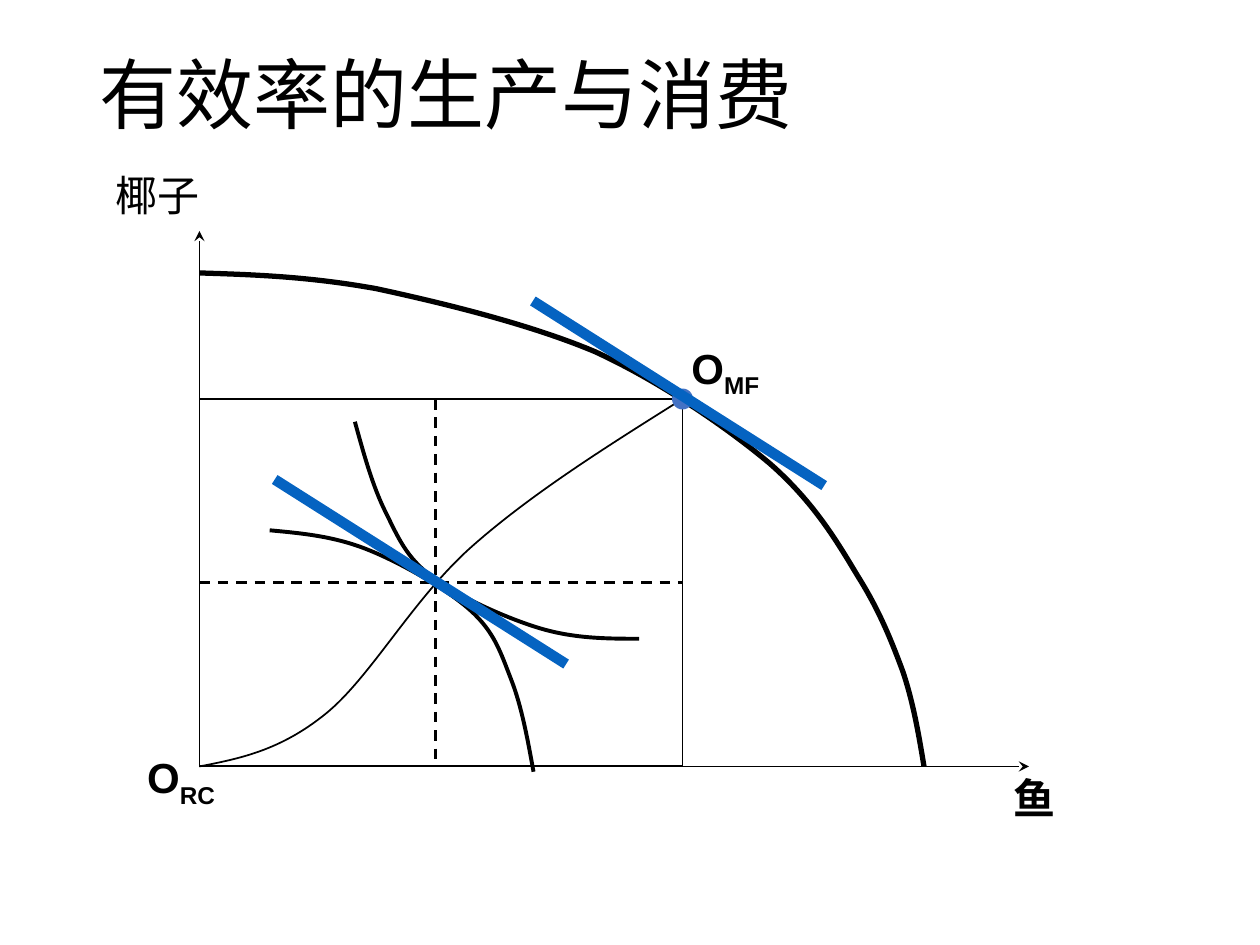
from dataclasses import dataclass

from lxml.etree import SubElement
from pptx import Presentation
from pptx.dml.color import RGBColor
from pptx.enum.dml import MSO_LINE
from pptx.enum.shapes import MSO_CONNECTOR, MSO_SHAPE
from pptx.enum.text import MSO_ANCHOR, MSO_AUTO_SIZE, PP_ALIGN
from pptx.oxml.ns import qn
from pptx.util import Pt


@dataclass(frozen=True)
class Theme:
    ink: RGBColor = RGBColor(0x00, 0x00, 0x00)
    price: RGBColor = RGBColor(0x05, 0x63, 0xC1)
    dot: RGBColor = RGBColor(0x44, 0x72, 0xC4)
    title_size: int = 44
    label_size: int = 24
    title_font: str = "Calibri"
    good_font: str = "Times New Roman"
    origin_font: str = "Arial"
    thin: float = 1
    dashed: float = 1.5
    utility: float = 2.25
    frontier: float = 3
    thick: float = 6


THEME = Theme()

FRONTIER = [
    (0, 24), (31, 25), (62, 26), (101, 33), (138, 41), (188, 53), (226, 69),
    (263, 86), (301, 112), (326, 133), (351, 155), (364, 177), (376, 197),
    (388, 216), (395, 233), (402, 252), (408, 270), (411, 288), (414, 306),
]
CONTRACT = [
    (276, 96), (233, 123), (190, 150), (156, 180), (122, 210), (98, 255),
    (72, 276), (46, 297), (23, 301.5), (0, 306),
]
INDIFFERENCE = [
    (0, 0), (1, 19), (2, 38), (6, 54), (10, 70), (12, 82), (24, 96),
    (36, 110), (60, 128), (78, 138), (96, 148), (114, 152), (132, 156),
]


def style_font(font, name, size, bold=False):
    font.name = name
    font.size = Pt(size)
    font.bold = bold
    font.color.rgb = THEME.ink


def draw_line(slide, start, end, width, color=THEME.ink, dash=None, arrow=False):
    line = slide.shapes.add_connector(
        MSO_CONNECTOR.STRAIGHT, *(Pt(v) for v in (*start, *end)))
    line.line.color.rgb = color
    line.line.width = Pt(width)
    if dash:
        line.line.dash_style = dash
    if arrow:
        SubElement(line.get_or_add_ln(), qn("a:tailEnd"), type="stealth")
    SubElement(line.element.spPr, qn("a:effectLst"))


def draw_curve(slide, left, top, points, width, rotation=0):
    start, *rest = [(Pt(left + x), Pt(top + y)) for x, y in points]
    builder = slide.shapes.build_freeform(*start, scale=1.0)
    builder.add_line_segments(rest, close=False)
    curve = builder.convert_to_shape()
    outline = next(curve.element.iter(qn("a:path")))
    segments = outline.findall(qn("a:lnTo"))
    for i in range(0, len(segments), 3):
        bezier = SubElement(outline, qn("a:cubicBezTo"))
        for segment in segments[i:i + 3]:
            bezier.append(segment[0])
            outline.remove(segment)
    curve.fill.background()
    curve.line.color.rgb = THEME.ink
    curve.line.width = Pt(width)
    curve.shadow.inherit = False
    curve.rotation = rotation


def add_label(slide, left, top, width, text, font, bold=False, subscript=""):
    label = slide.shapes.add_textbox(Pt(left), Pt(top), Pt(width), Pt(36.5))
    frame = label.text_frame
    frame.word_wrap = False
    frame.auto_size = MSO_AUTO_SIZE.SHAPE_TO_FIT_TEXT
    paragraph = frame.paragraphs[0]
    paragraph.add_run().text = text
    if subscript:
        sub = paragraph.add_run()
        sub.text = subscript
        sub.font._element.set("baseline", "-25000")
    style_font(paragraph.font, font, THEME.label_size, bold)


def add_title(slide, left, top, width, height):
    title = slide.shapes.title
    title.left, title.top, title.width, title.height = map(Pt, (left, top, width, height))
    frame = title.text_frame
    frame.text = "有效率的生产与消费"
    frame.vertical_anchor = MSO_ANCHOR.TOP
    paragraph = frame.paragraphs[0]
    paragraph.alignment = PP_ALIGN.LEFT
    paragraph.line_spacing = 0.9
    style_font(paragraph.font, THEME.title_font, THEME.title_size)


def add_edgeworth_box(slide, left, top, width, height):
    box = slide.shapes.add_shape(MSO_SHAPE.RECTANGLE, *map(Pt, (left, top, width, height)))
    box.fill.background()
    box.line.color.rgb = THEME.ink
    box.line.width = Pt(THEME.thin)
    box.shadow.inherit = False


def add_optimum(slide, x, y, diameter=12):
    dot = slide.shapes.add_shape(
        MSO_SHAPE.OVAL, Pt(x - diameter / 2), Pt(y - diameter / 2), Pt(diameter), Pt(diameter))
    dot.fill.solid()
    dot.fill.fore_color.rgb = THEME.dot
    dot.line.fill.background()
    dot.shadow.inherit = False


def add_price_line(slide, left, top):
    draw_line(slide, (left, top), (left + 166.5, top + 105.5), THEME.thick, THEME.price)


def add_diagram(slide, left, top, width, height):
    base = top + height
    optimum_x, optimum_y = left + 276, top + 96
    share_x, share_y = left + 135, (optimum_y + base) / 2

    add_label(slide, left + 458, base, 45, "鱼", THEME.good_font, bold=True)
    add_label(slide, left - 55, top - 38.5, 63.5, "椰子", THEME.good_font)
    draw_curve(slide, left, top, FRONTIER, THEME.frontier)
    for axis_end in ((left, top), (left + width, base)):
        draw_line(slide, (left, base), axis_end, THEME.thin, arrow=True)
    add_edgeworth_box(slide, left, optimum_y, optimum_x - left, base - optimum_y)
    draw_curve(slide, left, top, CONTRACT, THEME.thin)
    add_optimum(slide, optimum_x, optimum_y)
    add_price_line(slide, left + 190.5, top + 40)
    for dx, dy, rotation in ((104, 93, 347.6), (49.5, 162, 172.7)):
        draw_curve(slide, left + dx, top + dy, INDIFFERENCE, THEME.utility, rotation)
    for x, y, owner in ((left - 37, base - 12, "RC"), (optimum_x - 2, optimum_y - 36, "MF")):
        add_label(slide, x, y, 56, "O", THEME.origin_font, bold=True, subscript=owner)
    for start, end in (((share_x, optimum_y), (share_x, base)),
                       ((left, share_y), (optimum_x, share_y))):
        draw_line(slide, start, end, THEME.dashed, dash=MSO_LINE.DASH)
    add_price_line(slide, left + 43, top + 142)


def main():
    deck = Presentation()
    deck.slide_width, deck.slide_height = Pt(720), Pt(540)
    slide = deck.slides.add_slide(deck.slide_layouts.get_by_name("Title Only"))
    add_title(slide, 49.5, 28.75, 621, 104.5)
    add_diagram(slide, 114, 132, 474, 306)
    deck.save("out.pptx")


if __name__ == "__main__":
    main()
